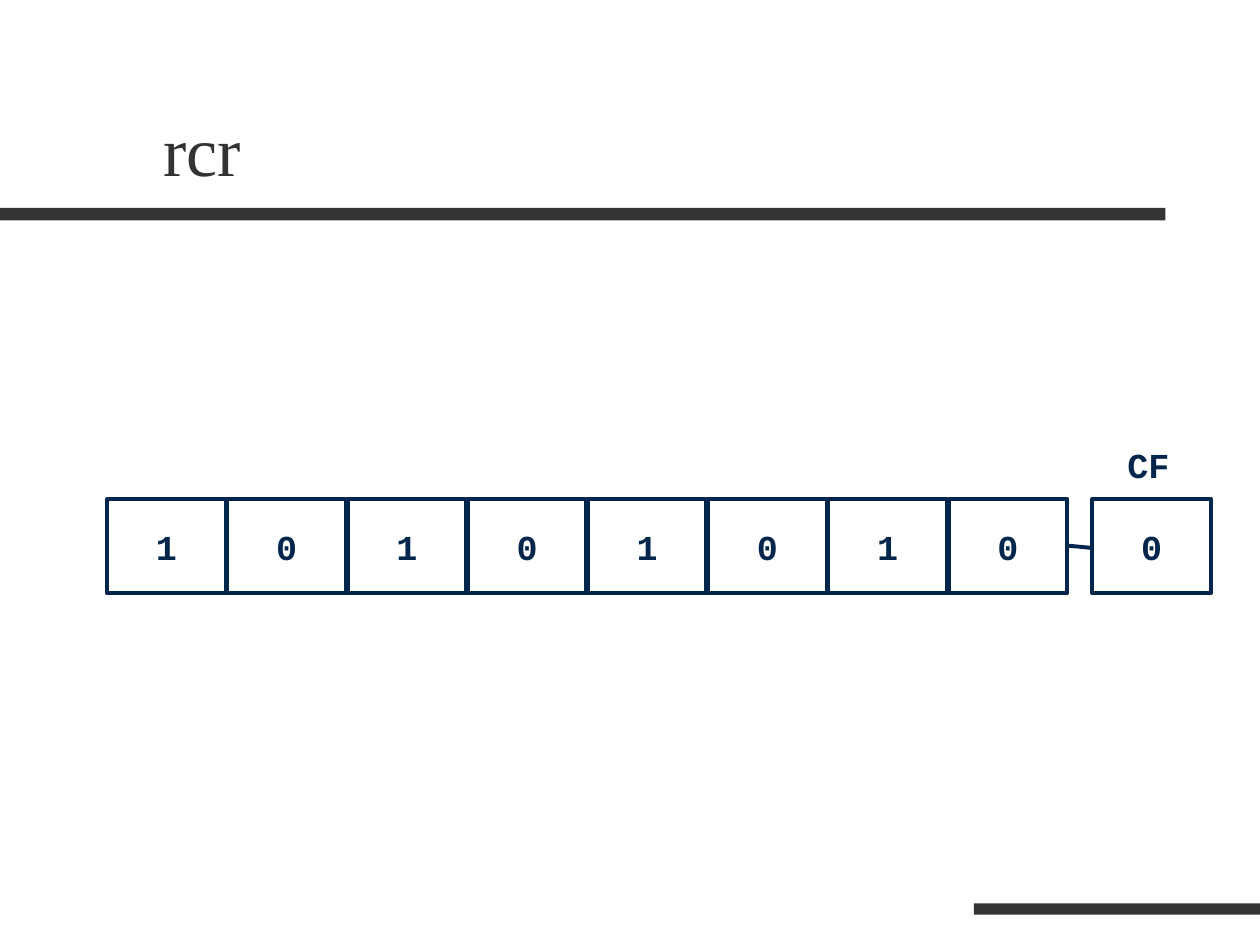
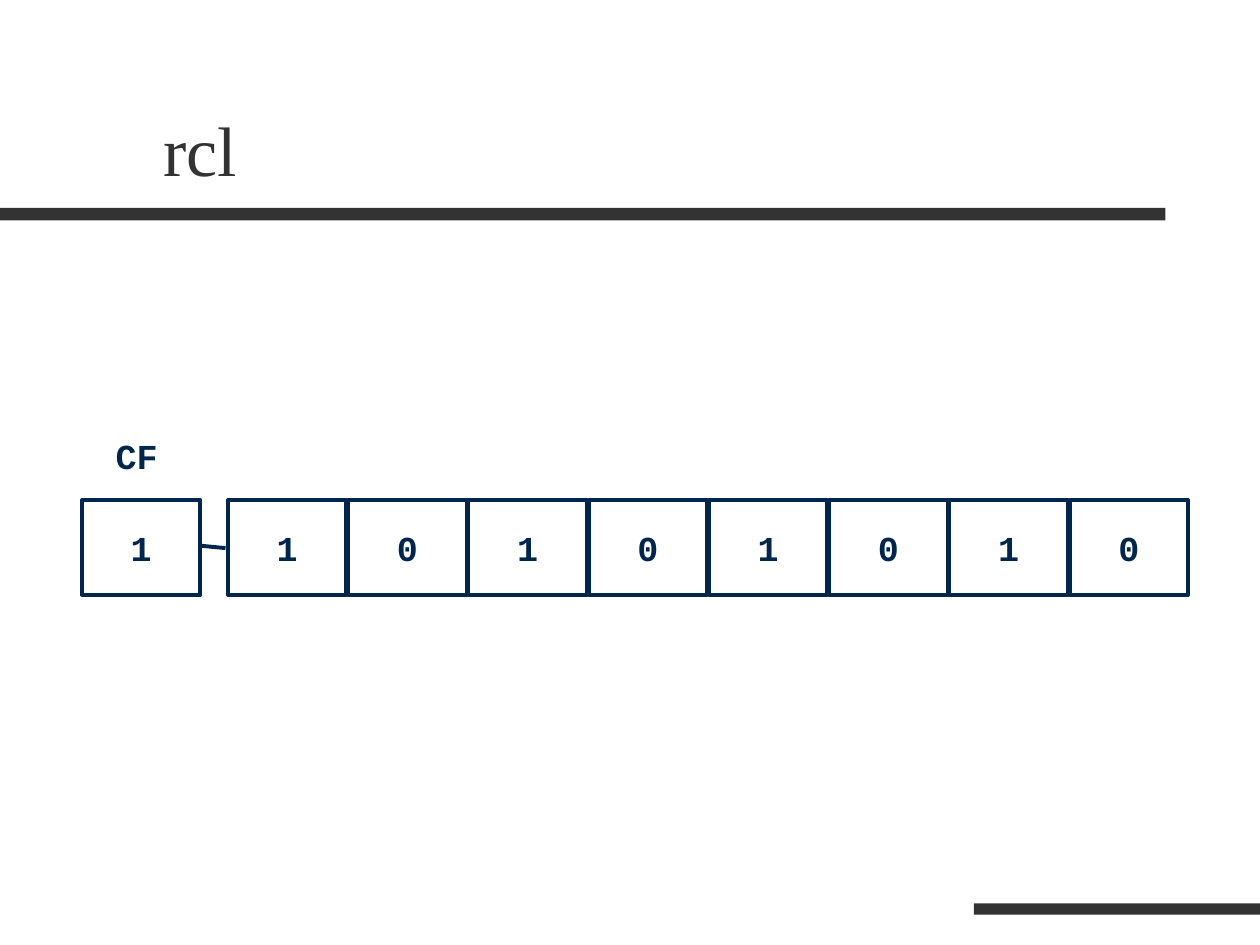
"""Build two slides that show the rcr and rcl rotations through the carry flag."""
from lxml.etree import SubElement
from pptx import Presentation
from pptx.dml.color import RGBColor
from pptx.enum.shapes import MSO_CONNECTOR, MSO_SHAPE
from pptx.enum.text import MSO_ANCHOR, PP_ALIGN
from pptx.oxml.ns import qn
from pptx.util import Inches, Pt

COLUMNS, ROWS = 10, 7.5
CELL_WIDTH, CELL_HEIGHT = 0.94, 0.75
FIRST_TO_LAST_BIT = 6.68


def color(value):
    """Turn a hex string into a colour."""
    return RGBColor.from_string(value)


def write_text(shape, text, *, font, size, ink, bold=False, wrap=True,
               align=PP_ALIGN.LEFT, anchor=MSO_ANCHOR.TOP):
    """Put one formatted paragraph into a shape."""
    frame = shape.text_frame
    frame.word_wrap = wrap
    frame.vertical_anchor = anchor
    paragraph = frame.paragraphs[0]
    paragraph.alignment = align
    run = paragraph.add_run()
    run.text = text
    run.font.name = font
    run.font.size = Pt(size)
    run.font.bold = bold
    run.font.color.rgb = color(ink)


class RegisterDeck:
    """Hold the style and the current slide."""

    band_color = "333333"
    register_color = "00264C"
    line_width = Pt(2.25)
    title_format = dict(font="Times New Roman", size=40, ink=band_color,
                        anchor=MSO_ANCHOR.BOTTOM)
    register_format = dict(font="Courier New", size=20, ink=register_color, bold=True)

    def __init__(self):
        """Start a presentation on a grid of one-inch columns and rows."""
        self.presentation = Presentation()
        self.presentation.slide_width = Inches(COLUMNS)
        self.presentation.slide_height = Inches(ROWS)
        self.slide = None

    def place(self, *lengths):
        """Convert alternating columns and rows to slide lengths."""
        units = (self.presentation.slide_width / COLUMNS,
                 self.presentation.slide_height / ROWS)
        return [round(length * units[index % 2]) for index, length in enumerate(lengths)]

    def add_slide(self, title):
        """Add a slide with its two bands and title."""
        self.slide = self.presentation.slides.add_slide(self.presentation.slide_layouts[6])
        self.add_band(0, 1.65, 9.25, 0.1)
        self.add_band(7.73, 7.17, 2.27, 0.09)
        self.add_text(title, (1.2, 0.31, 8.5, 1.25), self.title_format)

    def add_rectangle(self, *area):
        """Add a rectangle without a shadow."""
        shape = self.slide.shapes.add_shape(MSO_SHAPE.RECTANGLE, *self.place(*area))
        shape.shadow.inherit = False
        return shape

    def add_band(self, *area):
        """Add a solid band."""
        band = self.add_rectangle(*area)
        band.fill.solid()
        band.fill.fore_color.rgb = color(self.band_color)
        band.line.fill.background()

    def add_text(self, text, area, text_format):
        """Add a text box."""
        write_text(self.slide.shapes.add_textbox(*self.place(*area)), text, **text_format)

    def style_line(self, line):
        """Give a line the register colour and width."""
        line.color.rgb = color(self.register_color)
        line.width = self.line_width

    def add_cell(self, bit, left, top):
        """Add one outlined bit cell."""
        cell = self.add_rectangle(left, top, CELL_WIDTH, CELL_HEIGHT)
        cell.fill.background()
        self.style_line(cell.line)
        write_text(cell, bit, **self.register_format, wrap=False,
                   align=PP_ALIGN.CENTER, anchor=MSO_ANCHOR.MIDDLE)

    def add_register(self, bits, left, top):
        """Add a row of evenly spaced bit cells."""
        pitch = FIRST_TO_LAST_BIT / (len(bits) - 1)
        for index, bit in enumerate(bits):
            self.add_cell(bit, left + index * pitch, top)

    def add_link(self, *ends):
        """Add the line between the register and the carry flag."""
        link = self.slide.shapes.add_connector(MSO_CONNECTOR.STRAIGHT, *self.place(*ends))
        self.style_line(link.line)
        SubElement(link._element.spPr, qn("a:effectLst"))

    def add_rotation(self, title, bits, bits_left, carry, carry_left, top, label, link_left):
        """Add a slide with a register linked to its carry flag."""
        self.add_slide(title)
        self.add_link(link_left + 0.21, 4.35, link_left, 4.33)
        self.add_text("CF", (*label, 0.57, 0.44), self.register_format)
        self.add_register(bits, bits_left, top)
        self.add_cell(carry, carry_left, top)


def main():
    """Build and save both slides."""
    deck = RegisterDeck()
    deck.add_rotation("rcr", bits="10101010", bits_left=0.85, carry="0", carry_left=8.67,
                      top=3.96, label=(8.85, 3.47), link_left=8.47)
    deck.add_rotation("rcl", bits="10101010", bits_left=1.81, carry="1", carry_left=0.65,
                      top=3.97, label=(0.82, 3.4), link_left=1.58)
    deck.presentation.save("out.pptx")


if __name__ == "__main__":
    main()
